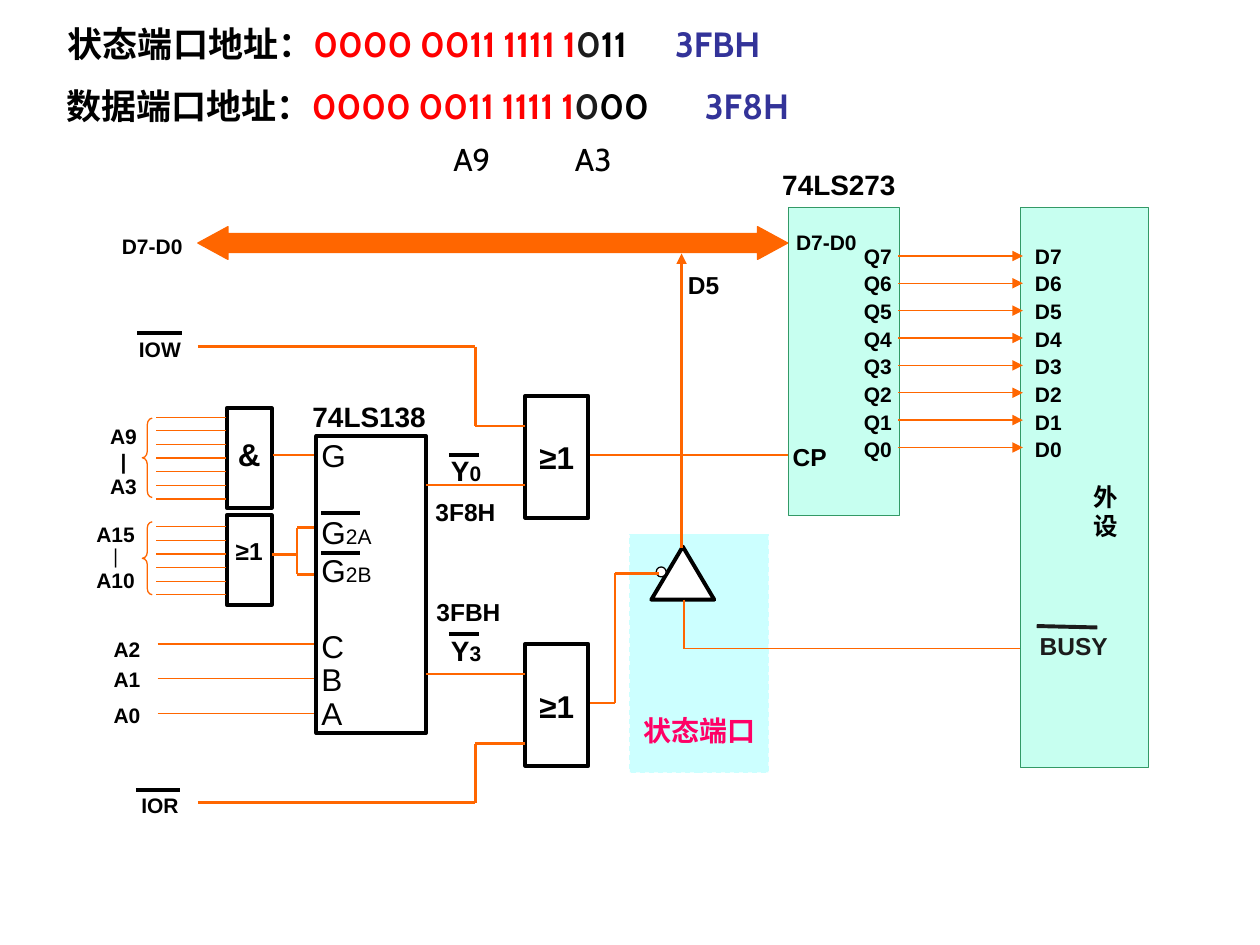
from itertools import pairwise

from pptx import Presentation
from pptx.dml.color import RGBColor as Rgb
from pptx.enum.dml import MSO_LINE as Dash
from pptx.enum.shapes import MSO_CONNECTOR as Conn, MSO_SHAPE as Kind
from pptx.enum.text import MSO_ANCHOR as Anchor, PP_ALIGN as Align
from pptx.oxml.ns import qn
from pptx.util import Cm, Pt
from lxml.etree import SubElement as Sub

BLACK = Rgb(0, 0, 0)
WHITE = Rgb(255, 255, 255)
DARK = Rgb(0x1C, 0x1C, 0x1C)
ORANGE = Rgb(0xFF, 0x66, 0x00)
RED = Rgb(0xFF, 0, 0)
BLUE = Rgb(0x33, 0x33, 0x99)
PINK = Rgb(0xFF, 0, 0x66)
CYAN = Rgb(0xCC, 0xFF, 0xFF)
MINT = Rgb(0xC7, 0xFF, 0xF0)
GREEN = Rgb(0x33, 0x99, 0x66)
LEFT, MID, RIGHT = Align.LEFT, Align.CENTER, Align.RIGHT
SERIF = "Times New Roman"
PAD = (0.25, 0.13, 0.25, 0.13)


def spread(start, end, count):
    return [start + (end - start) * i / (count - 1) for i in range(count)]


class Board:
    def __init__(self, slide):
        self.slide = slide
        self.style = {"name": "Arial", "size": Pt(12), "bold": True}

    def label(self, frame, lines, align=LEFT, pad=(0, 0, 0, 0),
              anchor=Anchor.TOP, gaps={}, pitch={}, tab=None, **form):
        frame.word_wrap = True
        frame.vertical_anchor = anchor
        for side, size in zip(("left", "top", "right", "bottom"), pad):
            setattr(frame, f"margin_{side}", Cm(size))
        for i, line in enumerate(lines):
            para = frame.add_paragraph() if i else frame.paragraphs[0]
            para.alignment = align
            para.line_spacing = pitch.get(i, pitch.get("all", 1.0))
            if i in gaps:
                para.space_before = Pt(gaps[i])
            if tab:
                stops = Sub(para._p.get_or_add_pPr(), qn("a:tabLst"))
                Sub(stops, qn("a:tab"), pos=str(Cm(tab)), algn="l")
            for text, own in [(line, {})] if isinstance(line, str) else line:
                run = para.add_run()
                run.text = text
                look = {**self.style, **form, **own}
                run.font.color.rgb = look.pop("color", BLACK)
                for key, value in look.items():
                    setattr(run.font, key, value)

    def text(self, area, lines, **form):
        box = self.slide.shapes.add_textbox(*map(Cm, area))
        self.label(box.text_frame, lines, **form)

    def shape(self, kind, area, fill=None, edge=None, width=0.75, adjust=()):
        item = self.slide.shapes.add_shape(kind, *map(Cm, area))
        item.shadow.inherit = False
        for part, color in ((item.fill, fill), (item.line.fill, edge)):
            if color is None:
                part.background()
            else:
                part.solid()
                part.fore_color.rgb = color
        item.line.width = Pt(width)
        for i, value in enumerate(adjust):
            item.adjustments[i] = value
        return item

    def wire(self, *points, color=ORANGE, width=1.5, arrow=False):
        for start, end in pairwise(points):
            link = self.slide.shapes.add_connector(
                Conn.STRAIGHT, *map(Cm, start + end))
            link.line.color.rgb = color
            link.line.width = Pt(width)
            Sub(link._element.spPr, qn("a:effectLst"))
            if arrow:
                edge = link._element.spPr.find(qn("a:ln"))
                Sub(edge, qn("a:tailEnd"), type="triangle")

    def rows(self, left, right, heights, **form):
        for y in heights:
            self.wire((left, y), (right, y), width=0.75, **form)

    def bar(self, left, right, y, color=BLACK, drop=0):
        self.wire((left, y), (right, y + drop), color=color, width=2.25)

    def gate(self, area, sign, top, size):
        item = self.shape(Kind.RECTANGLE, area, WHITE, BLACK, 2.25)
        self.label(item.text_frame, [sign], align=MID,
                   pad=(0, top, 0, 0), size=Pt(size))

    def brace(self, top, height, bend):
        self.shape(Kind.LEFT_BRACE, (2.87, top, 0.2, height),
                   edge=ORANGE, adjust=(bend, 0.5))


def ports(board):
    for area, name, tail, code, tab in (
            ((1.12, 0.33, 16.26, 1.09), "状态端口地址：", "11", "3FBH", 12.24),
            ((1.09, 1.57, 16.61, 1.09), "数据端口地址：", "00", "3F8H", 12.87)):
        line = [(name, {}), ("0000 0011 1111 1", {"color": RED}),
                ("0", {"color": DARK}), (tail + "\t", {}),
                (code, {"color": BLUE})]
        board.text(area, [line], pad=PAD, tab=tab, name="Cabin", size=Pt(20))
    board.text((8.89, 2.69, 4.39, 1.02), ["A9\tA3"], pad=PAD, tab=2.45,
               name="Cabin", size=Pt(18), bold=False)


def status(board):
    zone = board.shape(Kind.RECTANGLE, (12.7, 10.77, 2.79, 4.8), CYAN, CYAN)
    zone.line.dash_style = Dash.DASH
    board.shape(Kind.ISOSCELES_TRIANGLE, (13.13, 11.02, 1.27, 1.07),
                WHITE, BLACK, 2.25)
    board.shape(Kind.OVAL, (13.23, 11.43, 0.2, 0.2), WHITE, BLACK)
    board.text((12.8, 14.38, 2.6, 0.58), ["状态端口"], align=MID,
               name=SERIF, size=Pt(16), color=PINK)
    board.wire((13.79, 12.09), (13.79, 13.08), (20.57, 13.08), width=0.75)
    board.wire((11.79, 14.17), (12.4, 14.17), (12.4, 11.56), (13.28, 11.56))
    board.wire((13.74, 11.05), (13.74, 5.11), arrow=True)
    board.text((13.79, 5.44, 0.79, 0.69), ["D5"], align=MID, size=Pt(14))


def decoder(board):
    board.gate((4.57, 8.23, 0.91, 2.01), "&", 0.53, 18)
    board.gate((4.57, 10.39, 0.91, 1.8), "≥1", 0.41, 14)
    board.rows(3.15, 4.55, spread(8.41, 10.06, 7))
    board.rows(3.15, 4.55, spread(10.62, 11.99, 6))
    board.rows(3.18, 6.38, spread(12.98, 14.38, 3))
    board.brace(8.43, 1.6, 0.67)
    board.brace(10.52, 1.47, 0.62)
    board.text((2.16, 8.53, 0.66, 1.6), ["A9", "|", "A3"], align=MID)
    board.text((1.9, 10.52, 0.86, 1.52),
               ["A15", [("|", {"name": SERIF})], "A10"],
               align=MID, pitch={1: 0.8})
    board.text((2.13, 12.73, 0.86, 1.8), ["A2", "A1", "A0"], align=MID,
               pitch={"all": 1.2}, gaps={2: 3})
    board.wire((5.51, 9.17), (6.35, 9.17))
    board.wire((5.49, 11.18), (5.99, 11.18))
    board.wire((6.38, 10.64), (5.99, 10.64), (5.99, 11.58), (6.38, 11.58))
    chip = board.shape(Kind.RECTANGLE, (6.38, 8.79, 2.21, 5.99),
                       WHITE, BLACK, 2.25)
    low = {"size": Pt(12)}
    board.label(chip.text_frame,
                ["G", [("G", {}), ("2A", low)], [("G", {}), ("2B", low)],
                 "C", "B", "A"],
                pad=(0.1, 0, 0, 0), anchor=Anchor.MIDDLE, gaps={1: 22, 3: 22},
                pitch={4: 0.9, 5: 0.9}, size=Pt(18), bold=False)
    for y in (10.34, 11.15):
        board.bar(6.48, 7.26, y)
    board.text((6.3, 8.05, 2.59, 0.69), ["74LS138"], size=Pt(16))


def control(board):
    for top in (7.98, 12.98):
        board.gate((10.59, top, 1.27, 2.46), "≥1", 0.86, 18)
    for digit, top, bar, wire in (("0", 9.14, 9.17, 9.78),
                                  ("3", 12.78, 12.78, 13.59)):
        board.wire((8.59, wire), (10.59, wire))
        board.text((8.99, top, 0.81, 0.69),
                   [[("Y", {"size": Pt(16)}), (digit, {})]], align=MID)
        board.bar(9.05, 9.65, bar)
    for code, left, top in (("3F8H", 8.59, 10.01), ("3FBH", 8.69, 12.04)):
        board.text((left, top, 1.4, 0.61), [code], align=RIGHT, size=Pt(14))
    for name, top, left, bar, start, end in (
            ("IOW", 6.78, 2.77, 6.71, 6.99, 8.59),
            ("IOR", 15.98, 2.74, 15.93, 16.18, 14.99)):
        board.text((2.59, top, 1.27, 0.53), [name], align=MID)
        board.bar(left, left + 0.89, bar)
        board.wire((3.99, start), (9.58, start), (9.58, end), (10.59, end))
    board.wire((11.89, 9.17), (15.88, 9.17))


def device(board):
    board.text((2.18, 4.7, 1.5, 0.55), ["D7-D0"], align=RIGHT)
    board.shape(Kind.LEFT_RIGHT_ARROW, (3.99, 4.57, 11.89, 0.66),
                ORANGE, ORANGE, adjust=(0.58, 0.92))
    board.shape(Kind.RECTANGLE, (15.9, 4.19, 2.24, 6.2), MINT, GREEN)
    board.shape(Kind.RECTANGLE, (20.57, 4.19, 2.59, 11.28), MINT, GREEN)
    board.text((15.77, 3.38, 2.59, 0.69), ["74LS273"], size=Pt(16))
    board.text((16.03, 4.62, 1.24, 0.51), ["D7-D0"], align=RIGHT)
    board.text((15.93, 8.92, 0.79, 0.61), ["CP"], align=MID, size=Pt(14))
    for sign, left, width, align in (("Q", 17.37, 0.61, RIGHT),
                                     ("D", 20.78, 0.71, MID)):
        board.text((left, 4.85, width, 4.5),
                   [f"{sign}{bit}" for bit in range(7, -1, -1)],
                   align=align, pitch={"all": 1.1})
    board.rows(18.11, 20.62, spread(5.16, 9.02, 8), arrow=True)
    board.text((21.79, 9.58, 0.97, 1.93), ["外设"], pad=PAD,
               name=SERIF, size=Pt(14))
    board.text((20.96, 12.73, 1.52, 0.66), ["BUSY"], size=Pt(14), color=DARK)
    board.bar(20.9, 22.12, 12.62, DARK, 0.03)


def main():
    deck = Presentation()
    deck.slide_width, deck.slide_height = Cm(25.4), Cm(19.05)
    board = Board(deck.slides.add_slide(deck.slide_layouts[6]))
    for draw in (status, decoder, control, device, ports):
        draw(board)
    deck.save("out.pptx")


if __name__ == "__main__":
    main()
